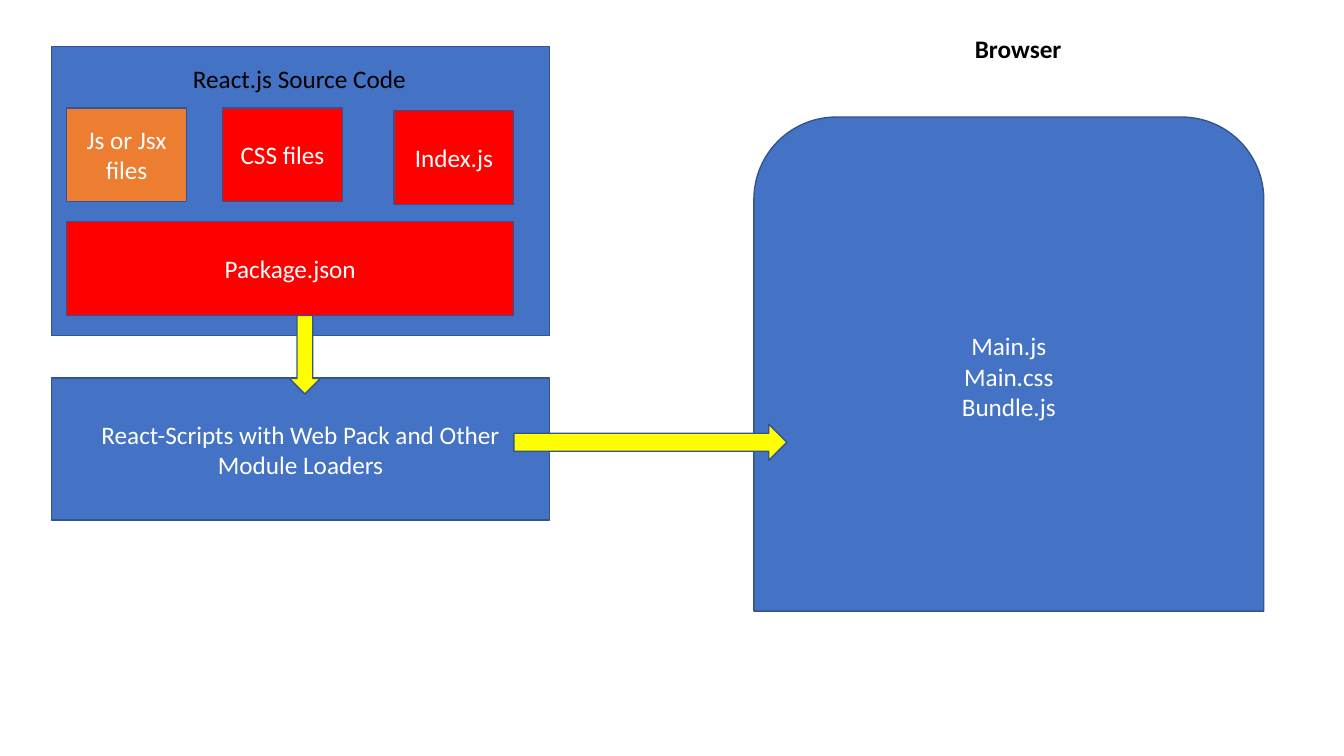
"""Build a slide showing how React source code is bundled for the browser."""
from dataclasses import dataclass

from pptx import Presentation
from pptx.dml.color import RGBColor
from pptx.enum.shapes import MSO_SHAPE
from pptx.enum.text import MSO_ANCHOR, PP_ALIGN
from pptx.util import Cm, Pt

RECTANGLE = MSO_SHAPE.RECTANGLE
ROUND_TOP = MSO_SHAPE.ROUND_2_SAME_RECTANGLE
DOWN_ARROW = MSO_SHAPE.DOWN_ARROW
RIGHT_ARROW = MSO_SHAPE.RIGHT_ARROW
CENTER = PP_ALIGN.CENTER
MIDDLE = MSO_ANCHOR.MIDDLE
TOP = MSO_ANCHOR.TOP


@dataclass(frozen=True)
class Theme:
    font: str = "Calibri"
    size: int = 18
    outline_width: int = 1
    blue: str = "4472C4"
    orange: str = "ED7D31"
    red: str = "FF0000"
    yellow: str = "FFFF00"
    outline: str = "325491"
    dark: str = "000000"
    light: str = "FFFFFF"


THEME = Theme()

SOURCE_TITLE = "React.js Source Code"
SOURCE_FILES = [
    ("Js or Jsx files", THEME.orange, 1.68, 2.72),
    ("CSS files", THEME.red, 5.61, 2.72),
    ("Index.js", THEME.red, 9.93, 2.79),
]
PACKAGE = "Package.json"
BUNDLER = "React-Scripts with Web Pack and Other Module Loaders"
BROWSER_TITLE = "Browser"
BROWSER_FILES = ["Main.js", "Main.css", "Bundle.js"]

PANEL_LEFT, PANEL_WIDTH = 1.3, 12.55
FILE_WIDTH, FILE_HEIGHT = 3.02, 2.36
PACKAGE_LEFT, PACKAGE_TOP = SOURCE_FILES[0][2], 5.59
PACKAGE_RIGHT = SOURCE_FILES[-1][2] + FILE_WIDTH
PACKAGE_BOTTOM = PACKAGE_TOP + FILE_HEIGHT


def write(box, lines, color, anchor, bold=False):
    """Fill a box with centred lines of text."""
    frame = box.text_frame
    frame.word_wrap = True
    frame.vertical_anchor = anchor
    frame.text = "\n".join(lines)
    for para in frame.paragraphs:
        para.alignment = CENTER
        for span in para.runs:
            span.font.name = THEME.font
            span.font.size = Pt(THEME.size)
            span.font.bold = bold
            span.font.color.rgb = RGBColor.from_string(color)


def add_block(page, kind, area, fill, lines=()):
    """Draw an outlined shape, with text when lines are given."""
    block = page.shapes.add_shape(kind, *map(Cm, area))
    block.shadow.inherit = False
    block.fill.solid()
    block.fill.fore_color.rgb = RGBColor.from_string(fill)
    block.line.color.rgb = RGBColor.from_string(THEME.outline)
    block.line.width = Pt(THEME.outline_width)
    if lines:
        write(block, lines, THEME.light, MIDDLE)


def add_title(page, area, title, bold=False):
    """Place a dark heading."""
    box = page.shapes.add_textbox(*map(Cm, area))
    write(box, [title], THEME.dark, TOP, bold)


def draw_source(page):
    """Draw the source code panel and its files."""
    add_block(page, RECTANGLE, (PANEL_LEFT, 1.17, PANEL_WIDTH, 7.29), THEME.blue)
    add_title(page, (2.54, 1.47, 10.01, 1.02), SOURCE_TITLE)
    for name, fill, left, top in SOURCE_FILES:
        add_block(page, RECTANGLE, (left, top, FILE_WIDTH, FILE_HEIGHT), fill, [name])
    package_area = (PACKAGE_LEFT, PACKAGE_TOP, PACKAGE_RIGHT - PACKAGE_LEFT, FILE_HEIGHT)
    add_block(page, RECTANGLE, package_area, THEME.red, [PACKAGE])


def draw_bundler(page):
    """Draw the bundler and the arrow into it."""
    add_block(page, RECTANGLE, (PANEL_LEFT, 9.53, PANEL_WIDTH, 3.58), THEME.blue, [BUNDLER])
    add_block(page, DOWN_ARROW, (7.29, PACKAGE_BOTTOM, 0.79, 1.98), THEME.yellow)


def draw_browser(page):
    """Draw the browser and the arrow into it."""
    add_block(page, ROUND_TOP, (19, 2.95, 12.85, 12.45), THEME.blue, BROWSER_FILES)
    add_title(page, (20.96, 0.71, 9.4, 1.02), BROWSER_TITLE, bold=True)
    add_block(page, RIGHT_ARROW, (PACKAGE_RIGHT, 10.69, 6.88, 0.91), THEME.yellow)


def main():
    """Assemble and save the deck."""
    deck = Presentation()
    deck.slide_width, deck.slide_height = Cm(33.87), Cm(19.05)
    page = deck.slides.add_slide(deck.slide_layouts[6])
    draw_source(page)
    draw_bundler(page)
    draw_browser(page)
    deck.save("out.pptx")


if __name__ == "__main__":
    main()
